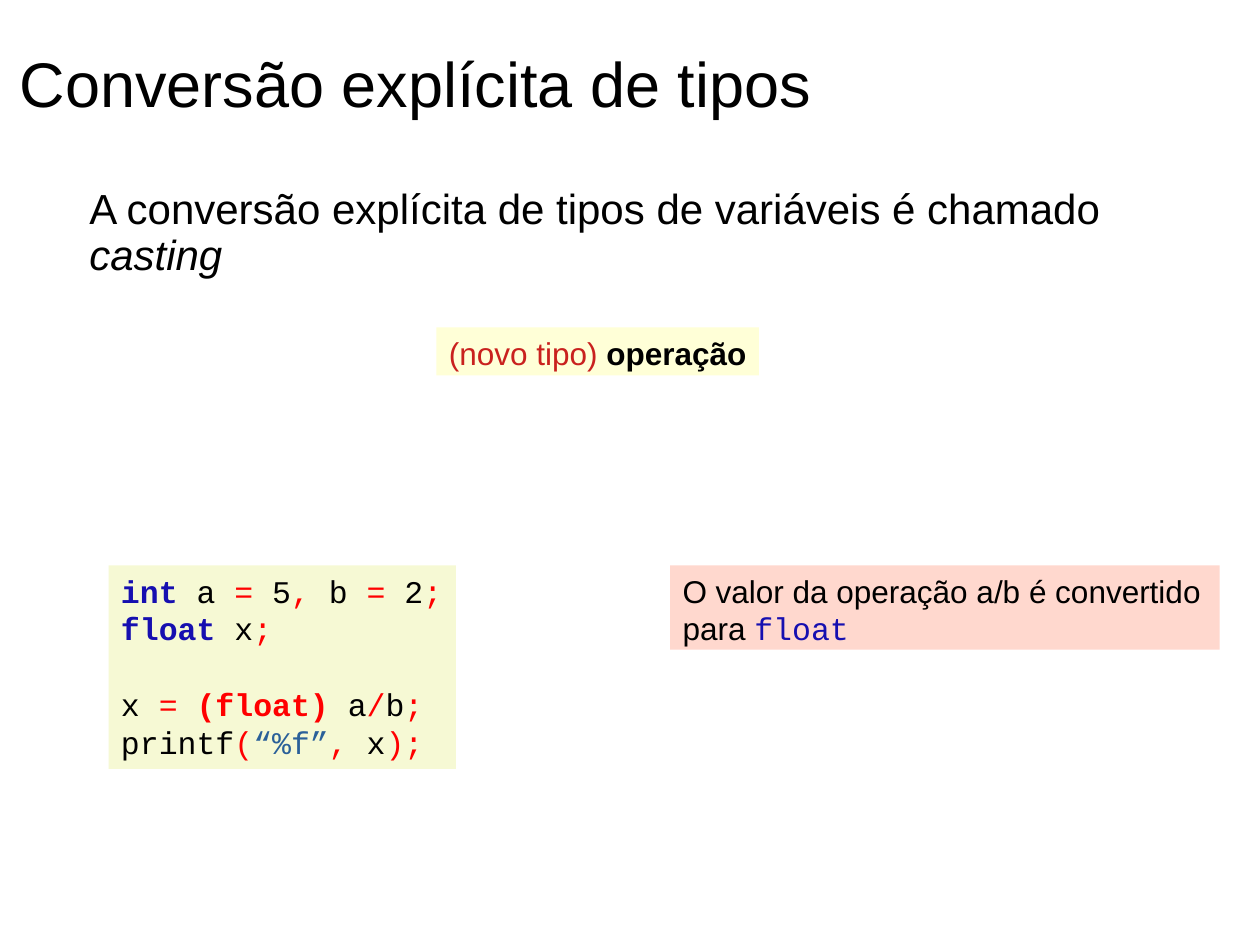
import pptx
import pptx.dml.color
import pptx.enum.shapes
import pptx.enum.text
import pptx.oxml.xmlchemy
import pptx.util

Cm = pptx.util.Cm
BLACK = "000000"
RED = "FF0000"
NAVY = "160FB0"
SANS = "Arial"
MONO = "Courier New"


def colour(value):
    return pptx.dml.color.RGBColor.from_string(value)


def write_spans(para, spans, size, face):
    for text, tint, *styles in spans:
        span = para.add_run()
        span.text = text
        span.font.name = MONO if "mono" in styles else face
        span.font.size = pptx.util.Pt(size)
        span.font.bold = "bold" in styles
        span.font.italic = "italic" in styles
        span.font.color.rgb = colour(tint)


def place(shape, left, top, width, height):
    shape.left, shape.top = Cm(left), Cm(top)
    shape.width, shape.height = Cm(width), Cm(height)


def fill_placeholder(shape, position, spans, size, anchor):
    place(shape, *position)
    frame = shape.text_frame
    frame.margin_left = frame.margin_right = 0
    frame.margin_top = frame.margin_bottom = 0
    frame.auto_size = pptx.enum.text.MSO_AUTO_SIZE.NONE
    frame.vertical_anchor = anchor
    para = frame.paragraphs[0]
    para.alignment = pptx.enum.text.PP_ALIGN.LEFT
    write_spans(para, spans, size, SANS)
    return para


def remove_bullet(para, indent):
    properties = para._p.get_or_add_pPr()
    properties.set("marL", str(Cm(indent)))
    properties.set("indent", "0")
    properties.append(pptx.oxml.xmlchemy.OxmlElement("a:buNone"))


def add_panel(page, position, fill, lines, face=SANS, wrap=True):
    box = page.shapes.add_shape(
        pptx.enum.shapes.MSO_SHAPE.RECTANGLE, *map(Cm, position))
    box.shadow.inherit = False
    box.fill.solid()
    box.fill.fore_color.rgb = colour(fill)
    box.line.fill.background()
    frame = box.text_frame
    frame.word_wrap = wrap
    frame.vertical_anchor = pptx.enum.text.MSO_ANCHOR.TOP
    for index, spans in enumerate(lines):
        para = frame.add_paragraph() if index else frame.paragraphs[0]
        para.alignment = pptx.enum.text.PP_ALIGN.LEFT
        write_spans(para, spans, 18, face)
    return box


def main():
    deck = pptx.Presentation()
    deck.slide_width, deck.slide_height = Cm(25.4), Cm(19.05)
    page = deck.slides.add_slide(deck.slide_layouts[1])
    title, body = page.placeholders

    fill_placeholder(title, (0.4, 0.31, 24.8, 2.7),
                     [("Conversão explícita de tipos", BLACK)],
                     36, pptx.enum.text.MSO_ANCHOR.MIDDLE)
    statement = fill_placeholder(
        body, (0.6, 3.8, 24.4, 14.6),
        [("A conversão explícita de tipos de variáveis é chamado ", BLACK),
         ("casting", BLACK, "italic")],
        24, pptx.enum.text.MSO_ANCHOR.TOP)
    statement.line_spacing = 0.9
    statement.space_before = pptx.util.Pt(14.1)
    remove_bullet(statement, 1.2)

    code = [
        [("int", NAVY, "bold"), (" a ", BLACK), ("=", RED), (" 5", BLACK),
         (",", RED), (" b ", BLACK), ("=", RED), (" 2", BLACK), (";", RED)],
        [("float", NAVY, "bold"), (" x", BLACK), (";", RED)],
        [("x ", BLACK), ("= ", RED), ("(float)", RED, "bold"), (" a", BLACK),
         ("/", RED), ("b", BLACK), (";", RED)],
        [("printf", BLACK), ("(", RED), ("“%f”", "2A6099"), (",", RED),
         (" x", BLACK), (");", RED)],
    ]
    listing = add_panel(page, (2.19, 11.4, 7, 4.1), "F6F9D4", code, MONO, wrap=False)
    listing.text_frame.paragraphs[2].space_before = pptx.util.Pt(21.5)

    add_panel(page, (13.51, 11.4, 11.08, 1.7), "FFD8CE",
              [[("O valor da operação a/b é convertido para ", BLACK),
                ("float", NAVY, "mono")]])
    add_panel(page, (8.8, 6.6, 6.5, 0.97), "FFFFD7",
              [[("(novo tipo) ", "C9211E"), ("operação", BLACK, "bold")]], wrap=False)

    deck.save("out.pptx")


if __name__ == "__main__":
    main()
